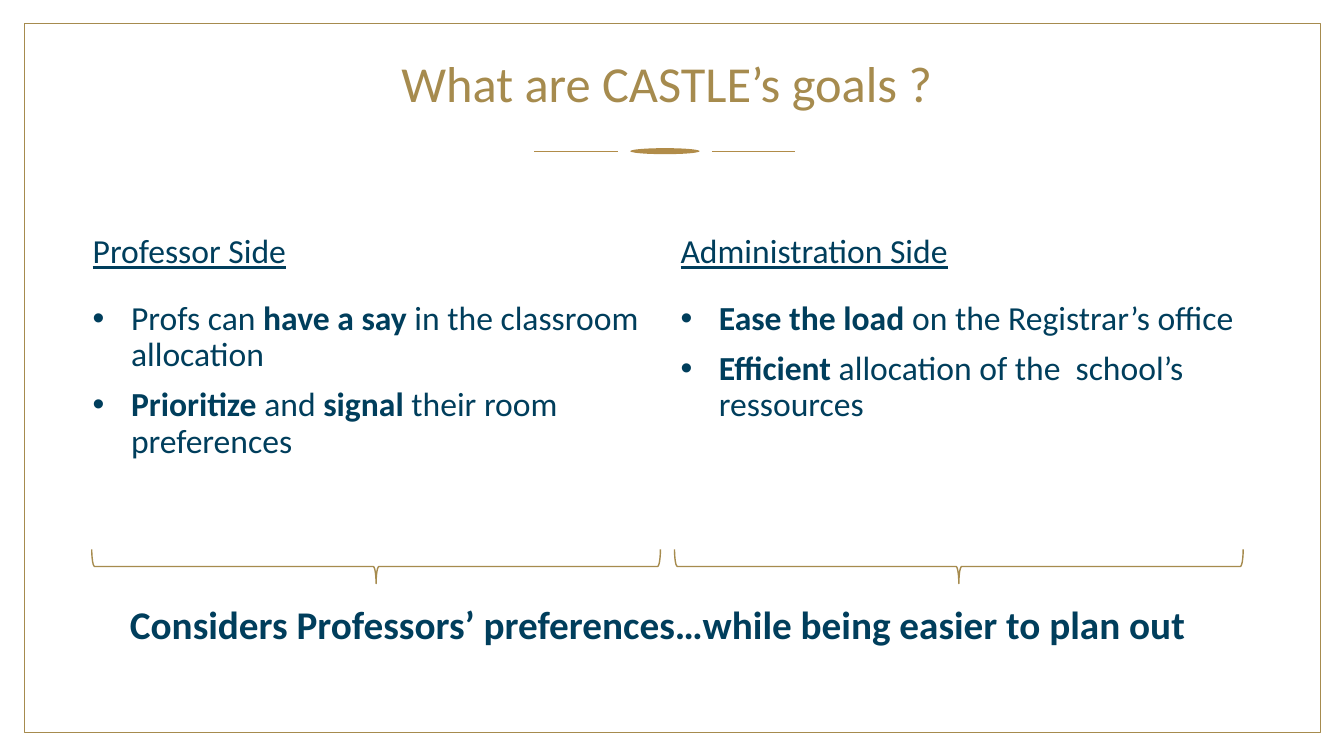
"""Build the slide on the goals of CASTLE for professors and administration."""
from lxml import etree
from pptx import Presentation
from pptx.dml.color import RGBColor
from pptx.enum import shapes as kinds, text as modes
from pptx.oxml import ns
from pptx.util import Inches, Pt

GOLD, OVAL, NAVY, WHITE = "A68B4E", "B18C49", "003E5C", "FFFFFF"
FONT = "Calibri"
TITLE = "What are CASTLE’s goals ? "
CLOSING = "Considers Professors’ preferences…while being easier to plan out"
SIDES = [
    ("Professor Side", 0.92, 5.64, 0.91, [
        [("Profs can ", False), ("have a say ", True),
         ("in the classroom allocation", False)],
        [("Prioritize ", True), ("and ", False), ("signal ", True),
         ("their room preferences", False)],
    ]),
    ("Administration Side", 6.75, 5.67, 6.69, [
        [("Ease the load ", True), ("on the Registrar’s office", False)],
        [("Efficient", True), (" allocation of the  school’s ressources", False)],
    ]),
]
RULES = [5.3, 7.06]
RULE_W, RULE_Y = 0.83, 1.5
BRACE_W, BRACE_H, BRACE_Y = 0.34, 5.64, 5.62


def rgb(code):
    return RGBColor.from_string(code)


def style(para, size, color, bold=None):
    font = para.font
    font.name, font.size, font.bold = FONT, Pt(size), bold
    font.color.rgb = rgb(color)


def add_box(slide, left, top, width, height, anchor, flush=True):
    box = slide.shapes.add_textbox(*map(Inches, (left, top, width, height)))
    frame = box.text_frame
    frame.word_wrap = True
    frame.vertical_anchor = anchor
    if flush:
        frame.margin_left = frame.margin_right = frame.margin_top = 0
        frame.margin_bottom = Inches(0.05)
    return frame


def add_form(slide, kind, left, top, width, height, fill=None, line=None, weight=1):
    form = slide.shapes.add_shape(kind, *map(Inches, (left, top, width, height)))
    form.shadow.inherit = False
    if fill:
        form.fill.solid()
        form.fill.fore_color.rgb = rgb(fill)
    else:
        form.fill.background()
    if line:
        form.line.color.rgb = rgb(line)
        form.line.width = Pt(weight)
    else:
        form.line.fill.background()
    return form


def add_rule(slide, left):
    y = Inches(RULE_Y)
    rule = slide.shapes.add_connector(
        kinds.MSO_CONNECTOR.STRAIGHT, Inches(left), y, Inches(left + RULE_W), y)
    rule.line.color.rgb = rgb(OVAL)
    rule.line.width = Pt(0.5)
    etree.SubElement(rule._element.spPr, ns.qn("a:effectLst"))


def add_bullet(para):
    props = para._p.get_or_add_pPr()
    props.set("marL", str(Inches(0.38)))
    props.set("indent", str(-Inches(0.38)))
    etree.SubElement(props, ns.qn("a:buFont")).set("typeface", "Arial")
    etree.SubElement(props, ns.qn("a:buChar")).set("char", "•")


def add_side(slide, head, left, width, brace_x, points):
    frame = add_box(slide, left, 1.84, width, 0.9, modes.MSO_ANCHOR.BOTTOM)
    para = frame.paragraphs[0]
    para.text = head
    para.line_spacing = 0.9
    style(para, 24, NAVY)
    para.font.underline = True

    frame = add_box(slide, left, 2.99, width, 2.2, modes.MSO_ANCHOR.TOP)
    for index, point in enumerate(points):
        para = frame.add_paragraph() if index else frame.paragraphs[0]
        add_bullet(para)
        para.line_spacing = 0.9
        if index:
            para.space_before = Pt(10)
        style(para, 24, NAVY)
        for words, bold in point:
            run = para.add_run()
            run.text = words
            run.font.bold = bold

    brace = add_form(
        slide, kinds.MSO_SHAPE.RIGHT_BRACE, brace_x + (BRACE_H - BRACE_W) / 2,
        BRACE_Y - BRACE_H / 2, BRACE_W, BRACE_H, line=GOLD)
    brace.rotation = 90


def main():
    deck = Presentation()
    deck.slide_width, deck.slide_height = Inches(13.33), Inches(7.5)
    slide = deck.slides.add_slide(deck.slide_layouts[5])

    title = slide.shapes.title
    title.left, title.top = Inches(0.92), Inches(0.13)
    title.width, title.height = Inches(11.5), Inches(1.45)
    title.text_frame.vertical_anchor = modes.MSO_ANCHOR.MIDDLE
    para = title.text_frame.paragraphs[0]
    para.text = TITLE
    para.alignment = modes.PP_ALIGN.CENTER
    para.line_spacing = 0.9
    style(para, 36, GOLD)

    border = add_form(slide, kinds.MSO_SHAPE.RECTANGLE, 0.24, 0.23, 12.86, 7.04,
                      WHITE, GOLD, 0.75)
    title._element.addprevious(border._element)
    add_form(slide, kinds.MSO_SHAPE.OVAL, 6.25, 1.47, 0.69, 0.06, OVAL)
    for left in RULES:
        add_rule(slide, left)
    for side in SIDES:
        add_side(slide, *side)

    frame = add_box(slide, 0.91, 5.91, 11.22, 0.57, modes.MSO_ANCHOR.TOP, False)
    para = frame.paragraphs[0]
    para.text = CLOSING
    para.alignment = modes.PP_ALIGN.CENTER
    style(para, 28, NAVY, True)
    deck.save("out.pptx")


if __name__ == "__main__":
    main()
